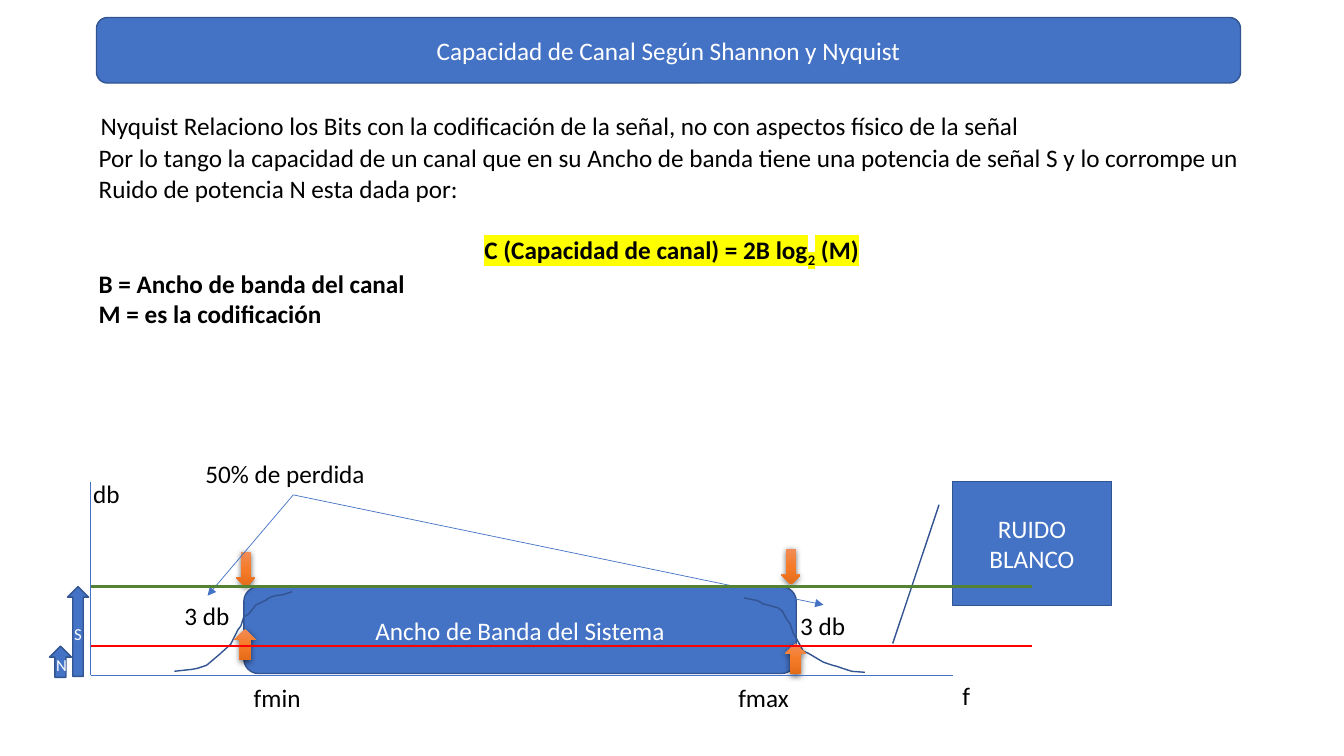
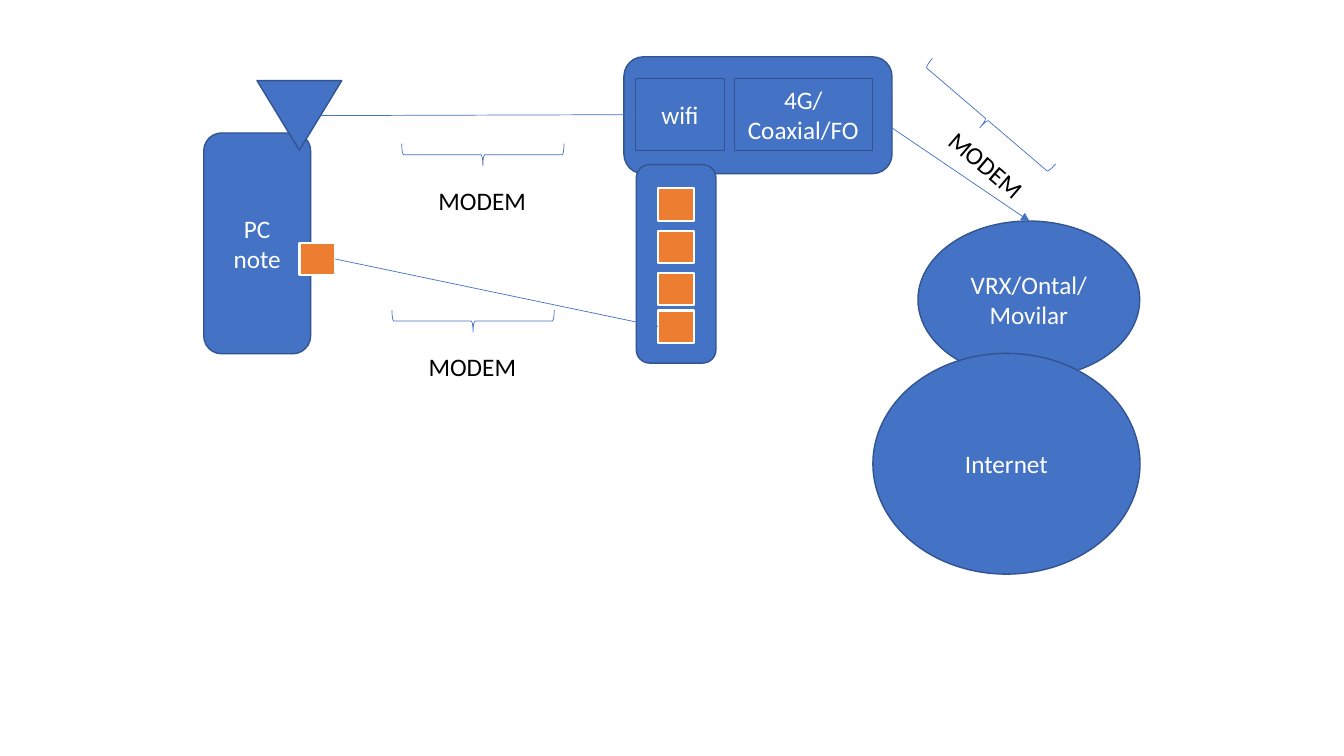
from pptx import Presentation, oxml
from pptx.dml.color import RGBColor
from pptx.enum import shapes, text
from pptx.oxml import ns
from pptx.util import Pt

SHAPE = shapes.MSO_SHAPE
BLUE, NAVY, ORANGE = "4472C4", "325491", "ED7D31"
WHITE, BLACK, RED, GREEN = "FFFFFF", "000000", "FF0000", "548235"
colour = RGBColor.from_string

ORANGE_GLOSS = f"""<a:gradFill {ns.nsdecls("a")} rotWithShape="1"><a:gsLst>
<a:gs pos="0"><a:srgbClr val="F18C57"/></a:gs>
<a:gs pos="50000"><a:srgbClr val="F67B28"/></a:gs>
<a:gs pos="100000"><a:srgbClr val="E56C19"/></a:gs>
</a:gsLst><a:lin ang="5400000" scaled="0"/></a:gradFill>"""
NO_LINE = f'<a:ln {ns.nsdecls("a")}><a:noFill/></a:ln>'
SOFT_SHADOW = f"""<a:effectLst {ns.nsdecls("a")}>
<a:outerShdw blurRad="57150" dist="19050" dir="5400000" algn="ctr" rotWithShape="0">
<a:srgbClr val="000000"><a:alpha val="63000"/></a:srgbClr></a:outerShdw></a:effectLst>"""
NO_EFFECT = f'<a:effectLst {ns.nsdecls("a")}/>'
ARROWHEAD = f'<a:tailEnd {ns.nsdecls("a")} type="triangle"/>'
HIGHLIGHT = f'<a:highlight {ns.nsdecls("a")}><a:srgbClr val="FFFF00"/></a:highlight>'


def add_box(slide, kind, box, words="", fill=BLUE, line=NAVY, width=1, size=18,
            rotation=0, wrap=True):
    """Add a preset shape, or a text box when kind is None; "|" separates runs."""
    box = [Pt(length) for length in box]
    if kind is None:
        shape = slide.shapes.add_textbox(*box)
        frame_format = {"word_wrap": wrap, "auto_size": text.MSO_AUTO_SIZE.SHAPE_TO_FIT_TEXT}
        font_colour, alignment = BLACK, text.PP_ALIGN.LEFT
    else:
        shape = slide.shapes.add_shape(kind, *box)
        shape.shadow.inherit = False
        if fill:
            shape.fill.solid()
            shape.fill.fore_color.rgb = colour(fill)
        else:
            shape.fill.background()
        shape.line.color.rgb = colour(line)
        shape.line.width = Pt(width)
        frame_format = {"word_wrap": wrap, "vertical_anchor": text.MSO_ANCHOR.MIDDLE}
        font_colour, alignment = WHITE, text.PP_ALIGN.CENTER
    shape.rotation = rotation
    if not words:
        return shape
    frame = shape.text_frame
    for name, value in frame_format.items():
        setattr(frame, name, value)
    for index, sentence in enumerate(words.split("\n")):
        paragraph = frame.add_paragraph() if index else frame.paragraphs[0]
        paragraph.alignment = alignment
        for part in sentence.split("|"):
            run = paragraph.add_run()
            run.text = part
            for name, value in {"name": "Calibri", "size": Pt(size)}.items():
                setattr(run.font, name, value)
            run.font.color.rgb = colour(font_colour)
    return shape


def add_line(slide, start, end, line=BLUE, width=0.5, arrow=False):
    ends = [Pt(length) for length in (*start, *end)]
    connector = slide.shapes.add_connector(shapes.MSO_CONNECTOR.STRAIGHT, *ends)
    connector.line.color.rgb = colour(line)
    connector.line.width = Pt(width)
    if arrow:
        connector.line._get_or_add_ln().append(oxml.parse_xml(ARROWHEAD))
    connector._element.spPr.append(oxml.parse_xml(NO_EFFECT))


presentation = Presentation()
presentation.slide_width, presentation.slide_height = Pt(960), Pt(540)
blank = presentation.slide_layouts[6]

# Slide 1: title and bandwidth bar
slide = presentation.slides.add_slide(blank)
add_box(slide, SHAPE.ROUNDED_RECTANGLE, (68.9, 12.5, 817.2, 46.8),
        "Capacidad de Canal Según Shannon y Nyquist")
add_box(slide, SHAPE.ROUNDED_RECTANGLE, (174.2, 419.2, 394.6, 61.9),
        "Ancho de Banda del Sistema")

# Roll-off curves at both band edges
roll_offs = [
    [(208.8, 422.6), (202.3, 424.8), (196.6, 425.5), (192.2, 427), (189.4, 429.1),
     (182.9, 432), (177.8, 438.5), (174.2, 440.6), (172.1, 447.1), (169.9, 450),
     (164.9, 460.1), (157, 467.3), (147.6, 475.2), (141.1, 477.4), (137.5, 478.1),
     (124.6, 479.5)],
    [(531.4, 427), (541.4, 429.1), (545, 431.3), (547.9, 432), (555.8, 434.2),
     (558.7, 436.3), (562.3, 442.8), (564.5, 445.7), (566.6, 452.2), (568.8, 455.8),
     (573.8, 465.1), (577.4, 466.6), (584.6, 470.9), (588.2, 473), (594.7, 475.2),
     (597.6, 475.9), (601.9, 477.4), (608.4, 479.5), (617.8, 480.2)],
]
for points in roll_offs:
    start, *rest = [(Pt(x), Pt(y)) for x, y in points]
    builder = slide.shapes.build_freeform(*start)
    builder.add_line_segments(rest, close=False)
    curve = builder.convert_to_shape()
    curve.shadow.inherit = False
    curve.fill.background()
    curve.line.color.rgb = colour(NAVY)
    curve.line.width = Pt(1)

# Orange arrows marking the 3 db drop
for kind, *box in [
    (SHAPE.DOWN_ARROW, 168.8, 394.3, 13.7, 25.2),
    (SHAPE.UP_ARROW, 167.5, 449.3, 15.1, 22.3),
    (SHAPE.DOWN_ARROW, 558.2, 392.2, 13.7, 25.2),
    (SHAPE.UP_ARROW, 560.6, 459.4, 15.1, 22.3),
]:
    arrow = slide.shapes.add_shape(kind, *[Pt(length) for length in box])
    for part in (ORANGE_GLOSS, NO_LINE, SOFT_SHADOW):
        arrow._element.spPr.append(oxml.parse_xml(part))

# White noise callout, noise and signal levels
callout = add_box(slide, SHAPE.LINE_CALLOUT_1, (680.2, 343.9, 113.8, 88.6), "RUIDO BLANCO")
for index, value in enumerate((0.188, -0.083, 1.307, -0.374)):
    callout.adjustments[index] = value
add_box(slide, SHAPE.UP_ARROW, (35.3, 461.5, 15.8, 22.3), "N", size=12)
add_box(slide, SHAPE.UP_ARROW, (48.2, 419, 15.1, 64.1), "S", size=12)

# Chart labels and introduction
for words, x, y, width in [
    ("f", 680.4, 482.4, 20.2),
    ("fmin", 174.2, 483.8, 48.2),
    ("fmax", 520.3, 483.8, 51.1),
    ("db", 59.4, 338.1, 33.8),
    ("3 db", 124.6, 425.5, 46.8),
    ("3 db", 564.5, 432.3, 46.8),
    ("50% de perdida", 139.7, 324, 140.4),
    ("Nyquist Relaciono los Bits con la codificación de la señal, "
     "no con aspectos físico de la señal", 64.8, 75.2, 682.6),
]:
    add_box(slide, None, (x, y, width, 28.8), words, wrap=False)

# Capacity formula
body = add_box(
    slide, None, (63.4, 98.3, 843.8, 138.2),
    "Por lo tango la capacidad de un canal que en su Ancho de banda tiene "
    "una potencia de señal S y lo corrompe un \n"
    "Ruido de potencia N esta dada por:\n"
    "C (Capacidad de canal) = 2B log|2| (M)\n"
    "B = Ancho de banda del canal\n"
    "M = es la codificación", wrap=False)
formula, *legend = body.text_frame.paragraphs[2:]
for paragraph in (formula, *legend):
    for run in paragraph.runs:
        run.font.bold = True
formula.alignment = text.PP_ALIGN.CENTER
formula.space_before = Pt(22)
for run in formula.runs:
    fill = run.font._element.find(ns.qn("a:solidFill"))
    fill.addnext(oxml.parse_xml(HIGHLIGHT))
formula.runs[1].font._element.set("baseline", "-25000")

# Axes, pointers to the half-power points, noise and signal lines
origin, loss = (64.8, 482.4), (209.5, 353.5)
for end in [(680.4, 482.4), (64.8, 344.2)]:
    add_line(slide, origin, end)
for end in [(148.3, 425.5), (588.2, 432)]:
    add_line(slide, loss, end, arrow=True)
for y, line in [(461.5, RED), (419, GREEN)]:
    add_line(slide, (65.2, y), (737, y), line, 2)

# Slide 2: devices and networks
slide = presentation.slides.add_slide(blank)
for kind, box, words, rotation in [
    (SHAPE.ROUNDED_RECTANGLE, (445.7, 40.6, 191.5, 83.5), "", 0),
    (SHAPE.ROUNDED_RECTANGLE, (145.6, 95, 76.3, 157.7), "PC\nnote", 0),
    (SHAPE.RECTANGLE, (454, 55.9, 63.4, 51.8), "wifi", 0),
    (SHAPE.RECTANGLE, (524.5, 55.9, 98.6, 51.8), "4G/Coaxial/FO", 0),
    (SHAPE.ISOSCELES_TRIANGLE, (183.6, 57.6, 60.5, 49.7), "", 180),
    (SHAPE.OVAL, (655.7, 157.9, 158.4, 112.3), "VRX/Ontal/\nMovilar", 0),
    (SHAPE.OVAL, (623.5, 252.4, 190.8, 157.7), "Internet", 0),
    (SHAPE.ROUNDED_RECTANGLE, (454.5, 117.6, 56.9, 141.8), "", 0),
]:
    add_box(slide, kind, box, words, rotation=rotation)

# Braces, each with its modem label
for x, y, tilt in [(337, 52.6, 0), (697, 27.4, 40.5), (330, 171.4, 0)]:
    add_box(slide, SHAPE.RIGHT_BRACE, (x, y, 15.8, 115.9), fill=None, line=BLUE,
            width=0.5, rotation=90 + tilt)
    add_box(slide, None, (x - 31, y + 76.3, 77.8, 28.8), "MODEM", rotation=tilt, wrap=False)

# Network ports on the router and the PC
for x, y in [(470.2, 134.6), (470.2, 165.2), (470.2, 195.1), (470.2, 221.8), (214, 173.5)]:
    add_box(slide, SHAPE.RECTANGLE, (x, y, 25.4, 23), fill=ORANGE, line=WHITE, width=1.5)

# Links
for start, end in [
    ((229, 82.6), (454.3, 81.9)),
    ((623.5, 82.1), (735.3, 157.9)),
    ((239.4, 185), (470.2, 233.3)),
]:
    add_line(slide, start, end, arrow=True)

presentation.save("out.pptx")
